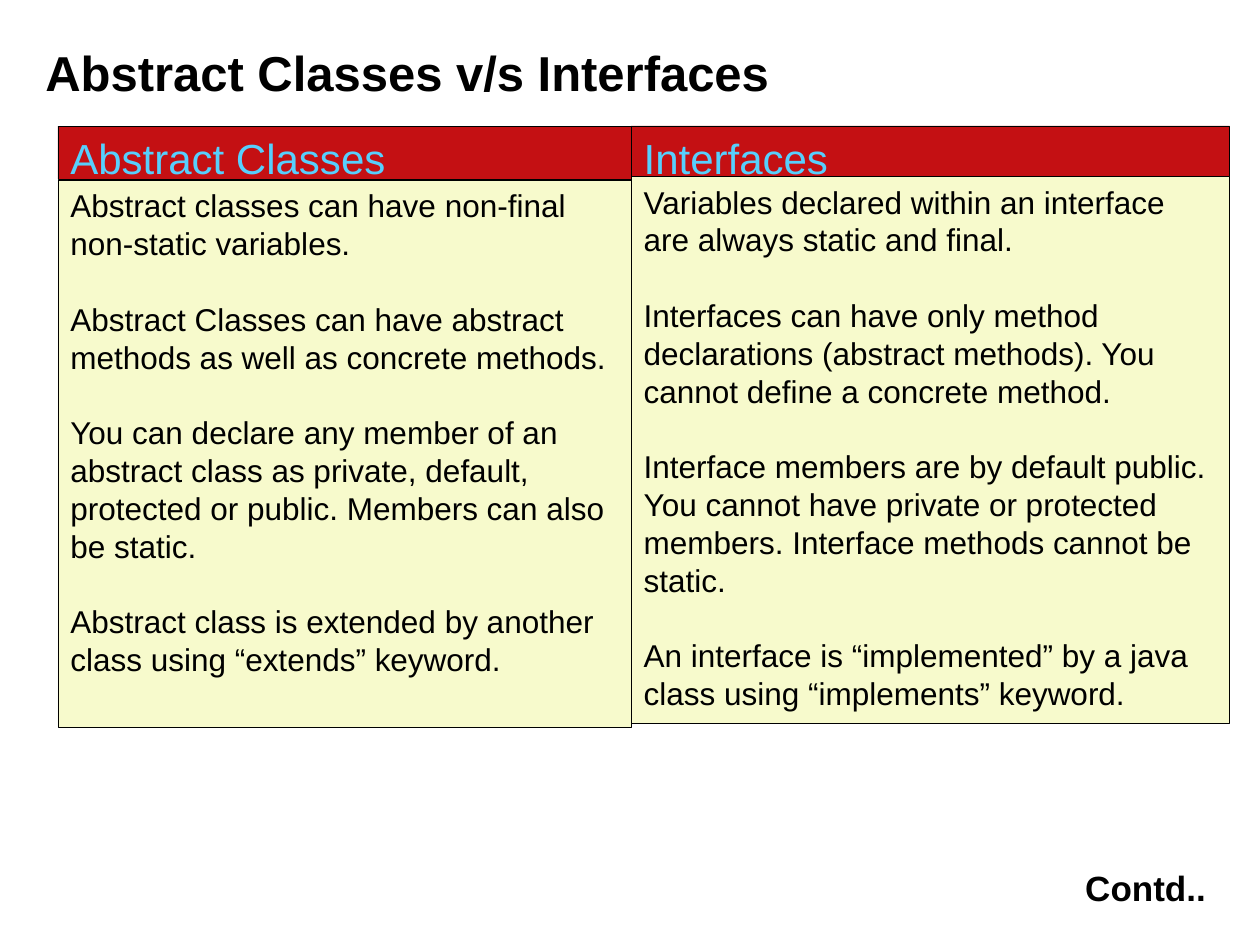
from pptx import Presentation
from pptx.dml.color import RGBColor
from pptx.enum.shapes import MSO_SHAPE
from pptx.enum.text import MSO_ANCHOR, MSO_AUTO_SIZE, PP_ALIGN
from pptx.util import Inches, Pt

RECTANGLE = MSO_SHAPE.RECTANGLE
TOP = MSO_ANCHOR.TOP
NO_FIT = MSO_AUTO_SIZE.NONE
LEFT, RIGHT = PP_ALIGN.LEFT, PP_ALIGN.RIGHT

BLACK = RGBColor(0x00, 0x00, 0x00)
RED = RGBColor(0xC4, 0x10, 0x13)
CREAM = RGBColor(0xF7, 0xFA, 0xCC)
SKY = RGBColor(0x57, 0xCF, 0xFD)
FONT = "Arial"
LINE_FACTOR = 1.2

TITLE = "Abstract Classes v/s Interfaces"
FOOTER = "Contd.."
HEADER_TOP, BODY_HEIGHT = 1, 4.34

COLUMNS = [
    {
        "heading": "Abstract Classes",
        "left": 0.46, "width": 4.55, "header_height": 0.42, "body_top": 1.43,
        "points": [
            "Abstract classes can have non-final non-static variables.",
            "Abstract Classes can have abstract methods as well as concrete methods.",
            "You can declare any member of an abstract class as private, default, "
            "protected or public. Members can also be static.",
            "Abstract class is extended by another class using “extends” keyword.",
        ],
    },
    {
        "heading": "Interfaces",
        "left": 5.01, "width": 4.75, "header_height": 0.5, "body_top": 1.4,
        "points": [
            "Variables declared within an interface are always static and final.",
            "Interfaces can have only method declarations (abstract methods). "
            "You cannot define a concrete method.",
            "Interface members are by default public. You cannot have private or "
            "protected members. Interface methods cannot be static.",
            "An interface is “implemented” by a java class using “implements” keyword.",
        ],
    },
]


def write(shape, texts, size, color=BLACK, bold=False, align=LEFT):
    """Fill a shape with paragraphs set one line apart."""
    frame = shape.text_frame
    frame.word_wrap = True
    frame.auto_size = NO_FIT
    frame.vertical_anchor = TOP
    line_height = Pt(round(size * LINE_FACTOR, 1))
    for index, text in enumerate(texts):
        para = frame.add_paragraph() if index else frame.paragraphs[0]
        para.alignment = align
        para.line_spacing = line_height
        para.space_before = line_height if index else Pt(0)
        span = para.add_run()
        span.text = text
        span.font.name = FONT
        span.font.size = Pt(size)
        span.font.bold = bold
        span.font.color.rgb = color


def add_panel(page, left, top, width, height, fill):
    panel = page.shapes.add_shape(
        RECTANGLE, Inches(left), Inches(top), Inches(width), Inches(height))
    panel.shadow.inherit = False
    panel.fill.solid()
    panel.fill.fore_color.rgb = fill
    panel.line.color.rgb = BLACK
    panel.line.width = Pt(0.25)
    return panel


def main():
    deck = Presentation()
    deck.slide_width, deck.slide_height = Inches(10), Inches(7.5)
    page = deck.slides.add_slide(deck.slide_layouts[5])

    title = page.shapes.title
    title.left, title.top = Inches(0.26), Inches(0.29)
    title.width, title.height = Inches(9.5), Inches(0.57)
    write(title, [TITLE], 28, bold=True)

    for column in COLUMNS:
        left, width = column["left"], column["width"]
        header = add_panel(page, left, HEADER_TOP, width, column["header_height"], RED)
        write(header, [column["heading"]], 24, SKY)
        body = add_panel(page, left, column["body_top"], width, BODY_HEIGHT, CREAM)
        write(body, column["points"], 18)

    footer = page.shapes.add_textbox(
        Inches(7.17), Inches(6.83), Inches(2.5), Inches(0.44))
    write(footer, [FOOTER], 20, bold=True, align=RIGHT)

    deck.save("out.pptx")


if __name__ == "__main__":
    main()
